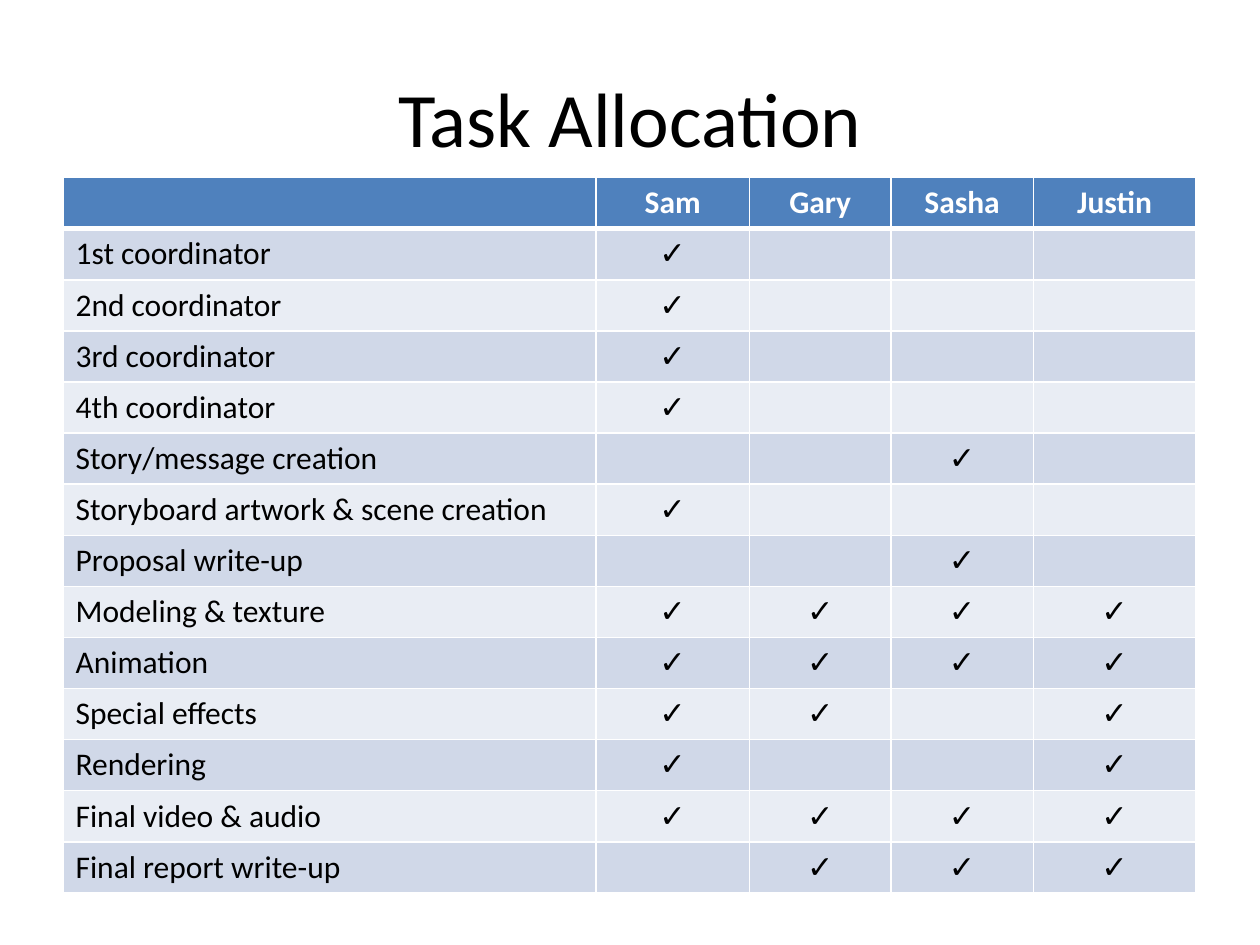
from dataclasses import dataclass

from lxml.etree import SubElement
from pptx import Presentation
from pptx.dml.color import RGBColor
from pptx.enum.text import MSO_ANCHOR as Anchor, PP_ALIGN as Align
from pptx.oxml.ns import qn
from pptx.table import _Cell as Cell
from pptx.util import Cm, Pt

WHITE = RGBColor(0xFF, 0xFF, 0xFF)
BLACK = RGBColor(0x00, 0x00, 0x00)
HEADER_BLUE = RGBColor(0x4F, 0x81, 0xBD)
BAND_DARK = RGBColor(0xD0, 0xD8, 0xE8)
BAND_LIGHT = RGBColor(0xE9, 0xED, 0xF4)
FONT = "Calibri"
MEMBERS = ("Sam", "Gary", "Sasha", "Justin")
COLUMN_WIDTHS = (10.74, 3.1, 2.85, 2.87, 3.28)
ROW_HEIGHT = 1.03


@dataclass(frozen=True)
class Task:
    name: str
    owners: tuple[str, ...]


TASKS = (
    Task("1st coordinator", ("Sam",)),
    Task("2nd coordinator", ("Sam",)),
    Task("3rd coordinator", ("Sam",)),
    Task("4th coordinator", ("Sam",)),
    Task("Story/message creation", ("Sasha",)),
    Task("Storyboard artwork & scene creation", ("Sam",)),
    Task("Proposal write-up", ("Sasha",)),
    Task("Modeling & texture", MEMBERS),
    Task("Animation", MEMBERS),
    Task("Special effects", ("Sam", "Gary", "Justin")),
    Task("Rendering", ("Sam", "Justin")),
    Task("Final video & audio", MEMBERS),
    Task("Final report write-up", ("Gary", "Sasha", "Justin")),
)


def style_paragraph(paragraph, size: int, color: RGBColor, align: Align, bold: bool = False) -> None:
    paragraph.alignment = align
    paragraph.font.name = FONT
    paragraph.font.size = Pt(size)
    paragraph.font.bold = bold
    paragraph.font.color.rgb = color


def draw_borders(cell: Cell, top: int, bottom: int) -> None:
    properties = cell._tc.get_or_add_tcPr()
    for side, width in (("L", 1), ("R", 1), ("T", top), ("B", bottom)):
        line = SubElement(properties, qn(f"a:ln{side}"), w=str(Pt(width)))
        fill = SubElement(line, qn("a:solidFill"))
        SubElement(fill, qn("a:srgbClr"), val=str(WHITE))


def fill_cell(cell: Cell, text: str, row: int, column: int) -> None:
    is_header = row == 0
    draw_borders(cell, top=3 if row == 1 else 1, bottom=3 if is_header else 1)
    cell.fill.solid()
    band = BAND_DARK if row % 2 else BAND_LIGHT
    cell.fill.fore_color.rgb = HEADER_BLUE if is_header else band
    cell.text = text
    style_paragraph(
        cell.text_frame.paragraphs[0],
        18,
        WHITE if is_header else BLACK,
        Align.CENTER if column else Align.LEFT,
        is_header,
    )


def add_title(slide, text: str) -> None:
    frame = slide.shapes.add_textbox(Cm(1.27), Cm(0.76), Cm(22.86), Cm(3.18)).text_frame
    frame.word_wrap = True
    frame.vertical_anchor = Anchor.MIDDLE
    frame.text = text
    style_paragraph(frame.paragraphs[0], 44, BLACK, Align.CENTER)


def add_allocation(slide) -> None:
    rows = [("", *MEMBERS)]
    for task in TASKS:
        rows.append((task.name, *("✓" if member in task.owners else "" for member in MEMBERS)))
    allocation = slide.shapes.add_table(
        len(rows), len(COLUMN_WIDTHS),
        Cm(1.27), Cm(3.58), Cm(sum(COLUMN_WIDTHS)), Cm(ROW_HEIGHT * len(rows)),
    ).table
    for column, width in zip(allocation.columns, COLUMN_WIDTHS):
        column.width = Cm(width)
    for row, texts in enumerate(rows):
        allocation.rows[row].height = Cm(ROW_HEIGHT)
        for column, text in enumerate(texts):
            fill_cell(allocation.cell(row, column), text, row, column)


def main() -> None:
    deck = Presentation()
    deck.slide_width, deck.slide_height = Cm(25.4), Cm(19.05)
    slide = deck.slides.add_slide(deck.slide_layouts[6])
    add_title(slide, "Task Allocation")
    add_allocation(slide)
    deck.save("out.pptx")


if __name__ == "__main__":
    main()
